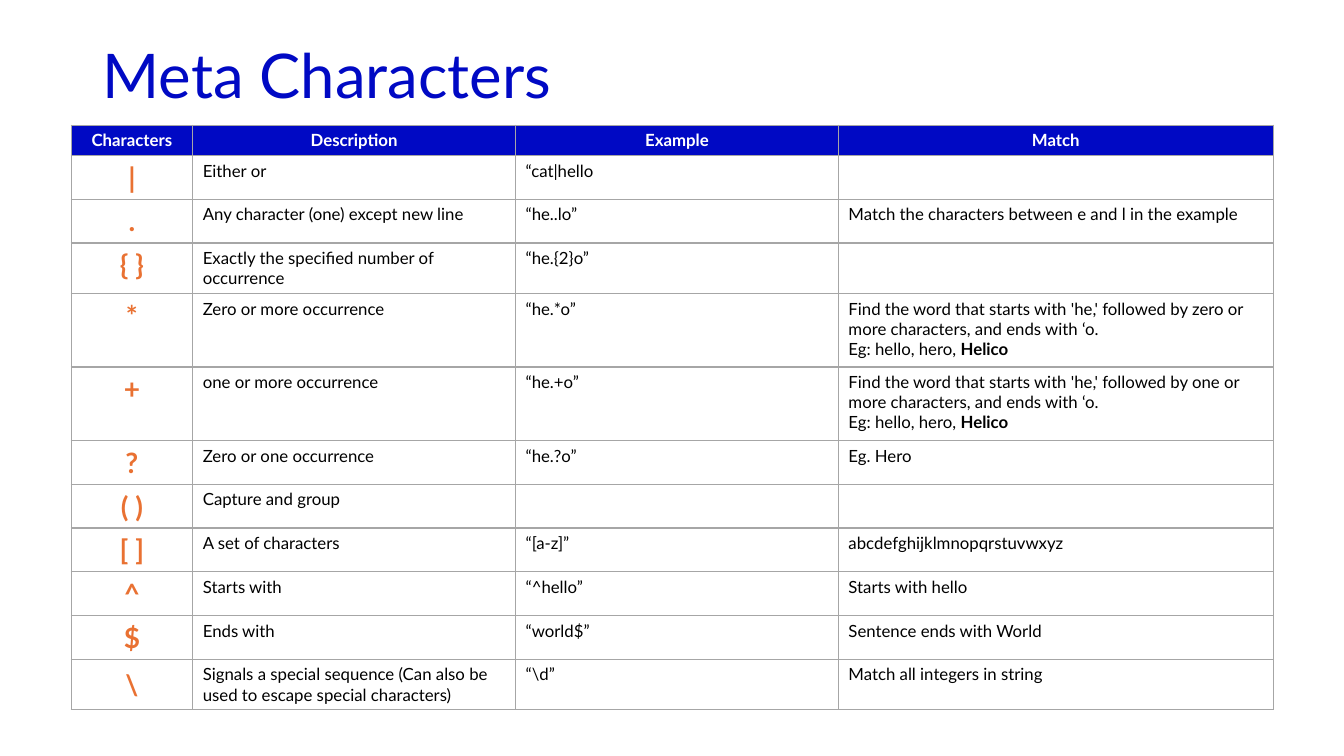
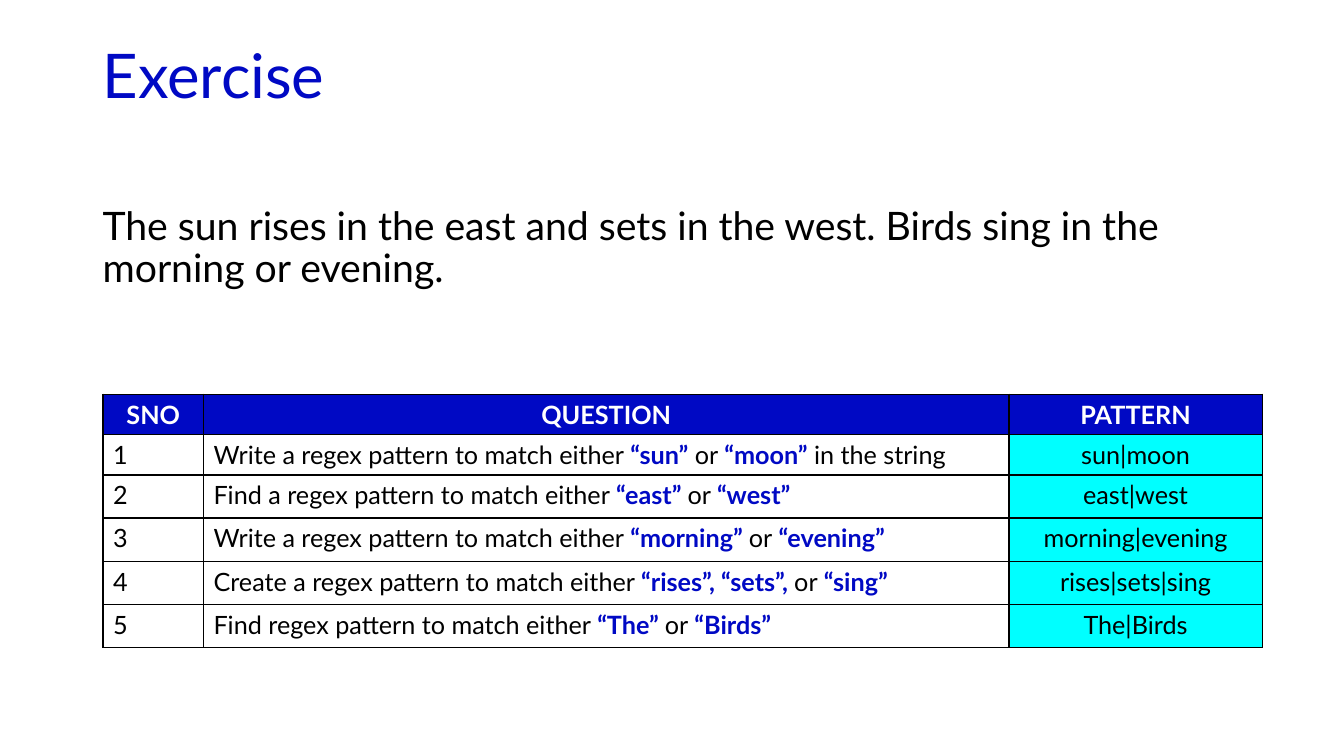
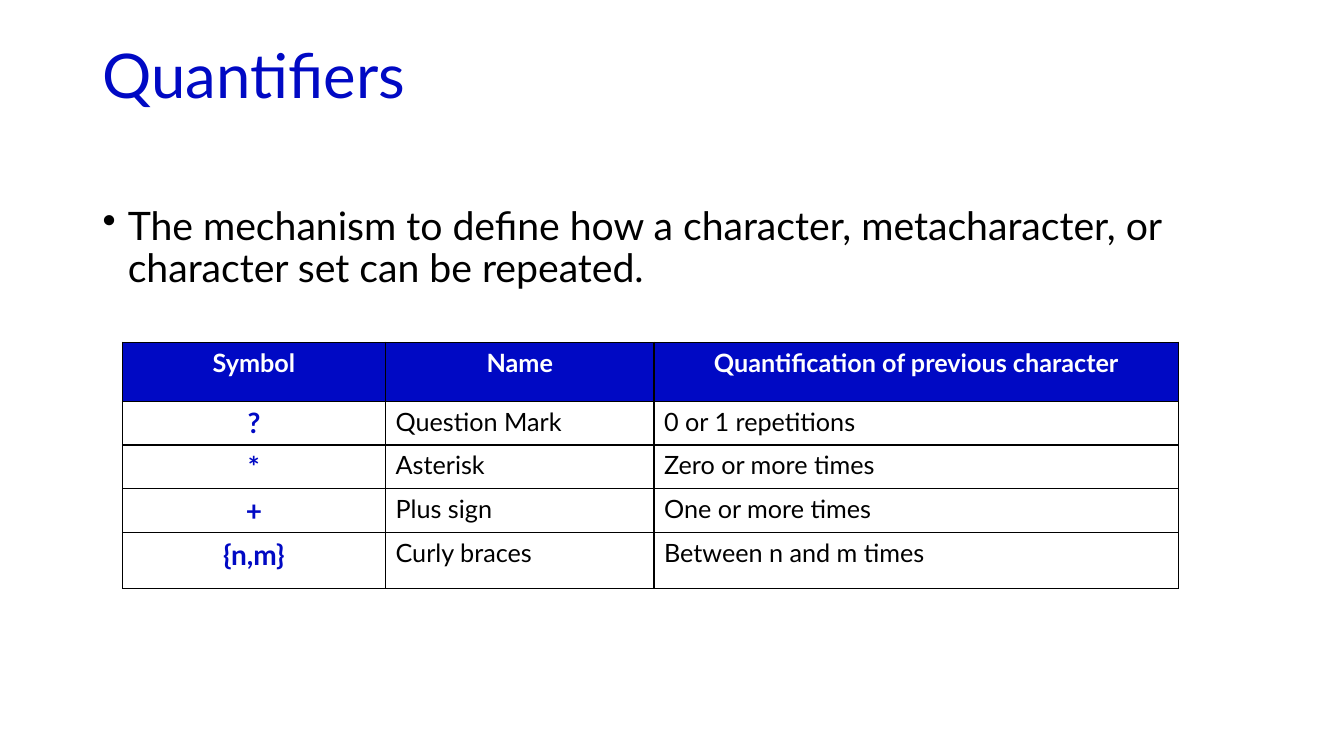
import dataclasses
import typing

import lxml.etree
import pptx
import pptx.dml.color
import pptx.enum.text
import pptx.oxml.ns
import pptx.util

Pt = pptx.util.Pt
RGB = pptx.dml.color.RGBColor
qn = pptx.oxml.ns.qn
LEFT = pptx.enum.text.PP_ALIGN.LEFT
MID = pptx.enum.text.PP_ALIGN.CENTER


@dataclasses.dataclass(frozen=True)
class Theme:
    face: str = "Lato"
    blue: str = "0009C4"
    black: str = "000000"
    white: str = "FFFFFF"
    grey: str = "A6A6A6"
    orange: str = "E97132"
    cyan: str = "00FFFF"
    title: int = 44
    body: int = 28
    sign: int = 20
    cell: int = 18
    small: int = 12


THEME = Theme()


@dataclasses.dataclass(frozen=True)
class Style:
    size: int
    color: str = THEME.black
    bold: bool = False
    align: typing.Any = LEFT


@dataclasses.dataclass(frozen=True)
class Col:
    head: str
    width: float
    style: Style
    fill: str = THEME.white


@dataclasses.dataclass(frozen=True)
class Grid:
    """A table; text between ** marks is bold in the accent colour."""
    left: float
    top: float
    size: int
    cols: list[Col]
    highs: list[float]
    rows: list[tuple[str, ...]]
    line: str = THEME.black
    accent: str = THEME.blue
    mids: tuple[int, ...] = ()


@dataclasses.dataclass(frozen=True)
class Page:
    title: str
    grid: Grid
    body: str = ""
    bullet: bool = False


def write(frame, text: str, style: Style, accent: str = THEME.blue) -> None:
    for at, line in enumerate(text.split("\n")):
        para = frame.add_paragraph() if at else frame.paragraphs[0]
        para.alignment = style.align
        para.font.name = THEME.face
        para.font.size = Pt(style.size)
        para.font.bold = style.bold
        para.font.color.rgb = RGB.from_string(style.color)
        for turn, part in enumerate(line.split("**")):
            if not part:
                continue
            run = para.add_run()
            run.text = part
            if turn % 2:
                run.font.bold = True
                run.font.color.rgb = RGB.from_string(accent)


def block(slide, top: float, high: float, text: str, style: Style):
    """Add a text box on the shared margins and return its paragraph."""
    frame = slide.shapes.add_textbox(Pt(66.24), Pt(top), Pt(828), Pt(high)).text_frame
    frame.word_wrap = True
    write(frame, text, style)
    para = frame.paragraphs[0]
    para.line_spacing = 0.9
    return para


def dot(para) -> None:
    """Give the paragraph a hanging bullet."""
    props = para._p.get_or_add_pPr()
    props.set("marL", str(Pt(18)))
    props.set("indent", str(-Pt(18)))
    mark = lxml.etree.Element(qn("a:buChar"), char="•")
    props.insert(props.index(props.find(qn("a:defRPr"))), mark)


def edge(cell, color: str) -> None:
    """Draw all four borders of a cell."""
    props = cell._tc.get_or_add_tcPr()
    for side in ("lnL", "lnR", "lnT", "lnB"):
        line = lxml.etree.SubElement(props, qn(f"a:{side}"), w=str(Pt(1)))
        fill = lxml.etree.SubElement(line, qn("a:solidFill"))
        lxml.etree.SubElement(fill, qn("a:srgbClr"), val=color)


def table(slide, grid: Grid) -> None:
    wide = sum(col.width for col in grid.cols)
    item = slide.shapes.add_table(
        len(grid.highs), len(grid.cols), Pt(grid.left), Pt(grid.top),
        Pt(wide), Pt(sum(grid.highs))).table
    item.first_row = item.horz_banding = False
    for row, high in zip(item.rows, grid.highs):
        row.height = Pt(high)
    head = Style(grid.size, THEME.white, True, MID)
    for x, col in enumerate(grid.cols):
        item.columns[x].width = Pt(col.width)
        for y, text in enumerate([col.head] + [row[x] for row in grid.rows]):
            cell = item.cell(y, x)
            edge(cell, grid.line)
            cell.fill.solid()
            cell.fill.fore_color.rgb = RGB.from_string(col.fill if y else THEME.blue)
            write(cell.text_frame, text, col.style if y else head, grid.accent)
            if x == 0 and y in grid.mids:
                cell.vertical_anchor = pptx.enum.text.MSO_ANCHOR.MIDDLE


SMALL = Style(THEME.small)
PLAIN = Style(THEME.cell)
FIND = ("Find the word that starts with 'he,' followed by {} or more characters, "
        "and ends with ‘o.\nEg: hello, hero, **Helico**")

META = Grid(
    50.8, 89.4, THEME.small,
    [Col("Characters", 86.9, Style(THEME.sign, THEME.orange, True, MID)),
     Col("Description", 230.6, SMALL),
     Col("Example", 230.6, SMALL),
     Col("Match", 310.6, SMALL)],
    [21.6, 31.2, 31.2, 36, 52.6, 52.6] + [31.2] * 5 + [36],
    [("|", "Either or", "“cat|hello", ""),
     (".", "Any character (one) except new line", "“he..lo”",
      "Match the characters between e and l in the example"),
     ("{ }", "Exactly the specified number of occurrence", "“he.{2}o”", ""),
     ("*", "Zero or more occurrence", "“he.*o”", FIND.format("zero")),
     ("+", "one or more occurrence", "“he.+o”", FIND.format("one")),
     ("?", "Zero or one occurrence", "“he.?o”", "Eg. Hero"),
     ("( )", "Capture and group", "", ""),
     ("[ ]", "A set of characters", "“[a-z]”", "abcdefghijklmnopqrstuvwxyz"),
     ("^", "Starts with", "“^hello”", "Starts with hello"),
     ("$", "Ends with", "“world$”", "Sentence ends with World"),
     ("\\", "Signals a special sequence (Can also be used to escape special characters)",
      "“\\d”", "Match all integers in string")],
    THEME.grey, THEME.black, (2, 8, 11))

TASKS = Grid(
    73.6, 281.6, THEME.cell,
    [Col("SNO", 71.8, PLAIN),
     Col("QUESTION", 575.4, PLAIN),
     Col("PATTERN", 180.8, Style(THEME.cell, align=MID), THEME.cyan)],
    [28.8] * 2 + [30.8] * 4,
    [("1", "Write a regex pattern to match either **“sun”** or **“moon”** in the string",
      "sun|moon"),
     ("2", "Find a regex pattern to match either **“east” **or **“west”**", "east|west"),
     ("3", "Write a regex pattern to match either **“morning” **or** “evening”**",
      "morning|evening"),
     ("4", "Create a regex pattern to match either **“rises”, “sets”, **or** “sing”**",
      "rises|sets|sing"),
     ("5", "Find regex pattern to match either **“The” **or** “Birds”**", "The|Birds")])

COUNTS = Grid(
    87.4, 244.4, THEME.cell,
    [Col("Symbol", 188, Style(THEME.sign, THEME.blue, True, MID)),
     Col("Name", 191.8, PLAIN),
     Col("Quantification of previous character", 374.6, PLAIN)],
    [42.2] + [31.2] * 3 + [40],
    [("?", "Question Mark", "0 or 1 repetitions"),
     ("*", "Asterisk", "Zero or more times"),
     ("+", "Plus sign", "One or more times"),
     ("{n,m}", "Curly braces", "Between n and m times")])

PAGES = [
    Page("Meta Characters", META),
    Page("Exercise", TASKS,
         "The sun rises in the east and sets in the west. "
         "Birds sing in the morning or evening."),
    Page("Quantifiers", COUNTS,
         "The mechanism to define how a character, metacharacter, "
         "or character set can be repeated.", True),
]


def main() -> None:
    deck = pptx.Presentation()
    deck.slide_width, deck.slide_height = Pt(960), Pt(540)
    for page in PAGES:
        slide = deck.slides.add_slide(deck.slide_layouts[6])
        block(slide, 28.8, 104.4, page.title, Style(THEME.title, THEME.blue))
        if page.body:
            para = block(slide, 144, 342.72, page.body, Style(THEME.body))
            if page.bullet:
                dot(para)
        table(slide, page.grid)
    deck.save("out.pptx")


if __name__ == "__main__":
    main()
